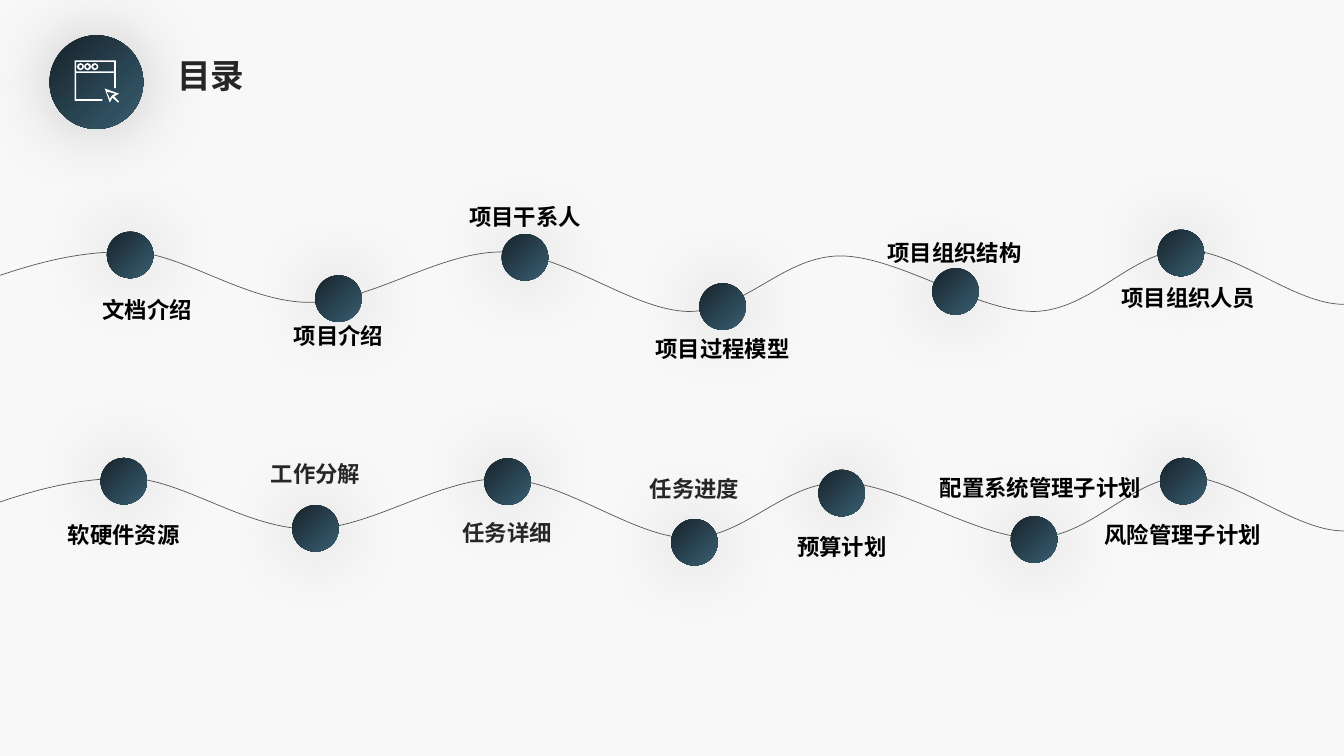
from lxml.etree import SubElement
from pptx import Presentation
from pptx.dml.color import RGBColor
from pptx.enum.shapes import MSO_SHAPE
from pptx.enum.text import MSO_ANCHOR, MSO_AUTO_SIZE, PP_ALIGN
from pptx.oxml.ns import qn
from pptx.util import Cm, Pt

PAPER = RGBColor(0xF8, 0xF8, 0xF8)
DEEP = RGBColor(0x17, 0x23, 0x2B)
TEAL = RGBColor(0x39, 0x5F, 0x72)
WHITE = RGBColor(0xFF, 0xFF, 0xFF)
BLACK = RGBColor(0x00, 0x00, 0x00)
CHARCOAL = RGBColor(0x26, 0x26, 0x26)
GRAY = RGBColor(0x59, 0x59, 0x59)

FONT = "Noto Sans CJK SC"
NODE = 1.17
LABEL_WIDTH = 5.69
ARC = 0.55  # control distance of a quarter circle, per radius

# Label styles: line spacing, box height in cm, colour
SPACED = (1.2, 1.02, BLACK)
COMPACT = (1.0, 0.94, CHARCOAL)

# Wave start, then two controls and an end for each bend, in cm
WAVE = [
    (0, 0.64),
    (1.07, 0.28), (2.16, 0), (3.45, 0.05),
    (4.75, 0.18), (6.27, 1.32), (7.8, 1.32),
    (9.35, 1.32), (11.07, 0.03), (12.67, 0.05),
    (14.27, 0.1), (15.93, 1.52), (17.35, 1.55),
    (18.77, 1.55), (19.74, 0.15), (21.18, 0.15),
    (22.63, 0.15), (24.61, 1.55), (26.06, 1.55),
    (27.51, 1.52), (28.52, 0.03), (29.85, 0),
    (31.14, 0), (32.61, 1.37), (33.87, 1.37),
]

# Topic, node centre x, node top, label top, label shift, label style
FIRST_TOPICS = [
    ("文档介绍", 3.28, -0.46, 0.91, 0, SPACED),
    ("项目介绍", 8.53, 0.64, 1.55, 0, SPACED),
    ("项目干系人", 13.23, -0.4, -1.45, 0, SPACED),
    ("项目过程模型", 18.21, 0.84, 1.88, 0, SPACED),
    ("项目组织结构", 24.08, 0.46, -0.54, -0.02, SPACED),
    ("项目组织人员", 29.76, -0.51, 0.6, 0.19, SPACED),
]
FIRST_TOPICS[0] = FIRST_TOPICS[0][:4] + (0.43, SPACED)
SECOND_TOPICS = [
    ("软硬件资源", 3.12, -0.47, 0.86, 0, SPACED),
    ("工作分解", 7.95, 0.72, -0.55, 0, COMPACT),
    ("任务详细", 12.79, -0.46, 0.94, -0.01, COMPACT),
    ("任务进度", 17.5, 1.07, -0.17, 0, COMPACT),
    ("预算计划", 21.21, -0.17, 1.17, 0.01, SPACED),
    ("配置系统管理子计划", 26.06, 1, -0.31, 0.16, SPACED),
    ("风险管理子计划", 29.82, -0.47, 0.86, -0.01, SPACED),
]

# Browser icon contours, in cm
FRAME = [(0, 0), (1.04, 0), (1.04, 0.7), (1, 0.7), (1, 0.32), (0.04, 0.32),
         (0.04, 0.98), (0.7, 0.98), (0.7, 1.02), (0, 1.02)]
TITLE_BAR = [(0.04, 0.04), (0.04, 0.28), (1, 0.28), (1, 0.04)]
CURSOR = [(0.76, 0.71), (1.12, 0.84), (1, 0.91), (1.12, 1.04),
          (1.1, 1.07), (0.95, 0.94), (0.89, 1.07)]
CURSOR_HOLE = [(0.81, 0.79), (0.89, 0.97), (0.94, 0.89), (1.02, 0.84)]


def apply(target, formats):
    for name, value in formats.items():
        setattr(target, name, value)


def soft_shadow(shape):
    shape.shadow.inherit = False
    effects = shape._element.spPr.find(qn("a:effectLst"))
    shadow = SubElement(effects, qn("a:outerShdw"), blurRad=str(Pt(53)),
                        dist="0", dir="0", algn="ctr", rotWithShape="0")
    tint = SubElement(shadow, qn("a:srgbClr"), val="000000")
    SubElement(tint, qn("a:alpha"), val="20000")


def disc(slide, left, top, size):
    ball = slide.shapes.add_shape(MSO_SHAPE.OVAL, Cm(left), Cm(top),
                                  Cm(size), Cm(size))
    ball.fill.gradient()
    ball.fill.gradient_angle = 315
    for stop, color, position in zip(ball.fill.gradient_stops,
                                     (DEEP, TEAL), (0, 1)):
        stop.color.rgb = color
        stop.position = position
    ball.line.fill.background()
    soft_shadow(ball)


def curve(segments):
    """Turn each three line segments into one cubic curve."""
    for i in range(0, len(segments), 3):
        first, *others = segments[i:i + 3]
        first.tag = qn("a:cubicBezTo")
        for other in others:
            first.append(other[0])
            other.getparent().remove(other)


def outline(slide, straight, curved, left, top, close):
    """Build one freeform from straight, then curved contours."""
    emu = [[(Cm(left + x), Cm(top + y)) for x, y in contour]
           for contour in straight + curved]
    builder = slide.shapes.build_freeform(*emu[0][0])
    for index, points in enumerate(emu):
        if index:
            builder.move_to(*points[0])
        builder.add_line_segments(points[1:], close=close)
    shape = builder.convert_to_shape()
    segments = list(shape._element.iter(qn("a:lnTo")))
    lines = sum(len(contour) - 1 for contour in straight)
    curve(segments[lines:])
    return shape


def circle(x, y, radius):
    """A start, then two controls and an end for each quarter."""
    points = [(x + radius, y)]
    for c, s in ((1, 0), (0, 1), (-1, 0), (0, -1)):
        points += [(x + radius * (c * a - s * b), y + radius * (s * a + c * b))
                   for a, b in ((1, ARC), (ARC, 1), (0, 1))]
    return points


def write(shape, text, size, color, align, spacing):
    frame = shape.text_frame
    apply(frame, {"text": text, "word_wrap": True,
                  "auto_size": MSO_AUTO_SIZE.SHAPE_TO_FIT_TEXT,
                  "vertical_anchor": MSO_ANCHOR.TOP})
    paragraph = frame.paragraphs[0]
    apply(paragraph, {"alignment": align, "line_spacing": spacing})
    run = paragraph.runs[0]
    apply(run.font, {"name": FONT, "size": Pt(size), "bold": True})
    run.font.color.rgb = color
    SubElement(run._r.get_or_add_rPr(), qn("a:ea"), typeface=FONT)


def header(slide, left, top):
    # Badge with browser icon
    disc(slide, left, top, 2.36)
    buttons = [circle(0.15 + 0.18 * i, 0.16, radius)
               for i in range(3) for radius in (0.09, 0.05)]
    browser = outline(slide, [FRAME, TITLE_BAR, CURSOR, CURSOR_HOLE], buttons,
                      left + 0.63, top + 0.63, True)
    browser.fill.solid()
    browser.fill.fore_color.rgb = WHITE
    browser.line.fill.background()
    soft_shadow(browser)
    # Heading
    heading = slide.shapes.title
    apply(heading, {"left": Cm(left + 2.96), "top": Cm(top + 0.37),
                    "width": Cm(9.14), "height": Cm(1.27)})
    write(heading, "目录", 24, CHARCOAL, PP_ALIGN.LEFT, 1.0)


def wave_row(slide, left, top, topics):
    # Wave line
    wave = outline(slide, [], [WAVE], left, top, False)
    wave.fill.background()
    apply(wave.line, {"width": Pt(0.5)})
    wave.line.color.rgb = GRAY
    wave.shadow.inherit = False
    # Nodes
    for _, center, node_top, *_ in topics:
        disc(slide, left + center - NODE / 2, top + node_top, NODE)
    # Labels
    for topic, center, _, label_top, shift, style in topics:
        spacing, height, color = style
        label = slide.shapes.add_textbox(
            Cm(left + center + shift - LABEL_WIDTH / 2), Cm(top + label_top),
            Cm(LABEL_WIDTH), Cm(height))
        write(label, topic, 16, color, PP_ALIGN.CENTER, spacing)


deck = Presentation()
apply(deck, {"slide_width": Cm(33.87), "slide_height": Cm(19.05)})
contents = deck.slides.add_slide(deck.slide_layouts[5])
contents.background.fill.solid()
contents.background.fill.fore_color.rgb = PAPER
header(contents, 1.25, 0.89)
wave_row(contents, 0, 6.3, FIRST_TOPICS)
wave_row(contents, 0, 12.01, SECOND_TOPICS)
deck.save("out.pptx")
